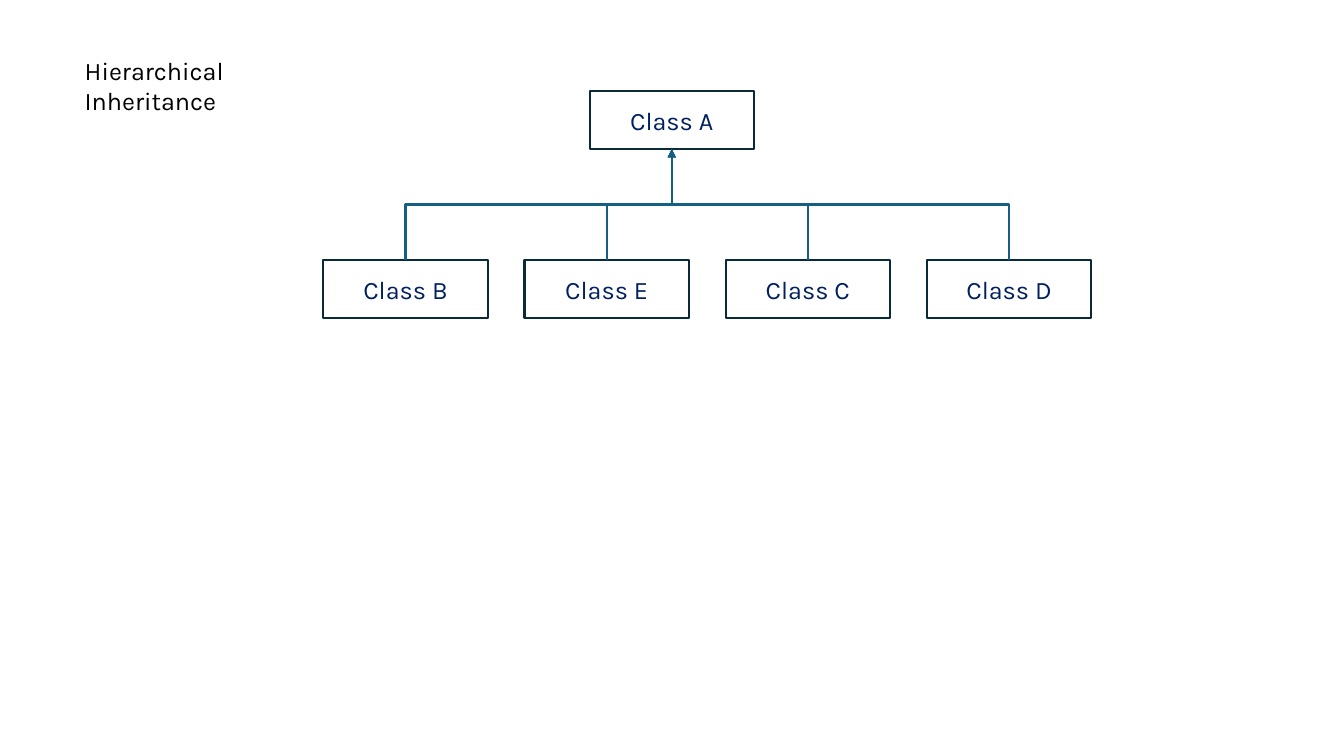
from lxml.etree import SubElement
from pptx import Presentation
from pptx.dml.color import RGBColor
from pptx.enum.shapes import MSO_CONNECTOR, MSO_SHAPE
from pptx.enum.text import MSO_ANCHOR, MSO_AUTO_SIZE, PP_ALIGN
from pptx.oxml.ns import qn
from pptx.util import Cm, Pt

TITLE = "Hierarchical Inheritance"
PARENT = "Class A"
KIDS = ["Class B", "Class E", "Class C", "Class D"]

BLACK = RGBColor(0x00, 0x00, 0x00)
WHITE = RGBColor(0xFF, 0xFF, 0xFF)
NAVY = RGBColor(0x00, 0x20, 0x60)
DARK = RGBColor(0x09, 0x2A, 0x39)
TEAL = RGBColor(0x15, 0x60, 0x82)

BOX_W, BOX_H = Cm(4.14), Cm(1.47)
TOP_X, TOP_Y = Cm(14.86), Cm(2.29)
KID_X, KID_Y, STEP = Cm(8.15), Cm(6.55), Cm(5.07)
TOP_SITE, BOTTOM_SITE = 0, 2


def write(shape, text, color, align, anchor):
    frame = shape.text_frame
    frame.text = text
    frame.word_wrap = True
    frame.auto_size = MSO_AUTO_SIZE.NONE
    frame.vertical_anchor = anchor
    para = frame.paragraphs[0]
    para.alignment = align
    font = para.runs[0].font
    font.name, font.size = "Karla", Pt(18)
    font.color.rgb = color


def add_box(slide, text, x, y):
    box = slide.shapes.add_shape(MSO_SHAPE.RECTANGLE, x, y, BOX_W, BOX_H)
    box.shadow.inherit = False
    box.fill.solid()
    box.fill.fore_color.rgb = WHITE
    box.line.color.rgb = DARK
    box.line.width = Pt(1.5)
    write(box, text, NAVY, PP_ALIGN.CENTER, MSO_ANCHOR.MIDDLE)
    return box


def link(slide, kid, parent):
    """Run an elbow arrow from the top of kid up to the bottom of parent."""
    x1, y1 = kid.left + BOX_W // 2, kid.top
    x2, y2 = parent.left + BOX_W // 2, parent.top + BOX_H
    line = slide.shapes.add_connector(MSO_CONNECTOR.ELBOW, x1, y1, x2, y2)
    line.begin_connect(kid, TOP_SITE)
    line.end_connect(parent, BOTTOM_SITE)

    # A vertical elbow is a horizontal one turned a quarter about its centre.
    line.width, line.height = y1 - y2, abs(x2 - x1)
    line.left = (x1 + x2 - line.width) // 2
    line.top = (y1 + y2 - line.height) // 2
    props = line._element.spPr
    frame = props.find(qn("a:xfrm"))
    left = x1 < x2
    frame.set("rot", str((90 if left else 270) * 60000))
    frame.set("flipH", "1" if left else "0")
    frame.set("flipV", "1")

    line.line.color.rgb = TEAL
    line.line.width = Pt(1.5)
    SubElement(props.find(qn("a:ln")), qn("a:tailEnd"), type="triangle")
    SubElement(props, qn("a:effectLst"))


def main():
    deck = Presentation()
    deck.slide_width, deck.slide_height = Cm(33.87), Cm(19.05)
    slide = deck.slides.add_slide(deck.slide_layouts[5])

    title = slide.shapes.title
    title.left, title.top = Cm(1.88), Cm(1.27)
    title.width, title.height = Cm(5.4), Cm(1.78)
    write(title, TITLE, BLACK, PP_ALIGN.LEFT, MSO_ANCHOR.TOP)

    parent = add_box(slide, PARENT, TOP_X, TOP_Y)
    kids = [add_box(slide, name, KID_X + i * STEP, KID_Y)
            for i, name in enumerate(KIDS)]
    for kid in kids:
        link(slide, kid, parent)

    deck.save("out.pptx")


if __name__ == "__main__":
    main()
